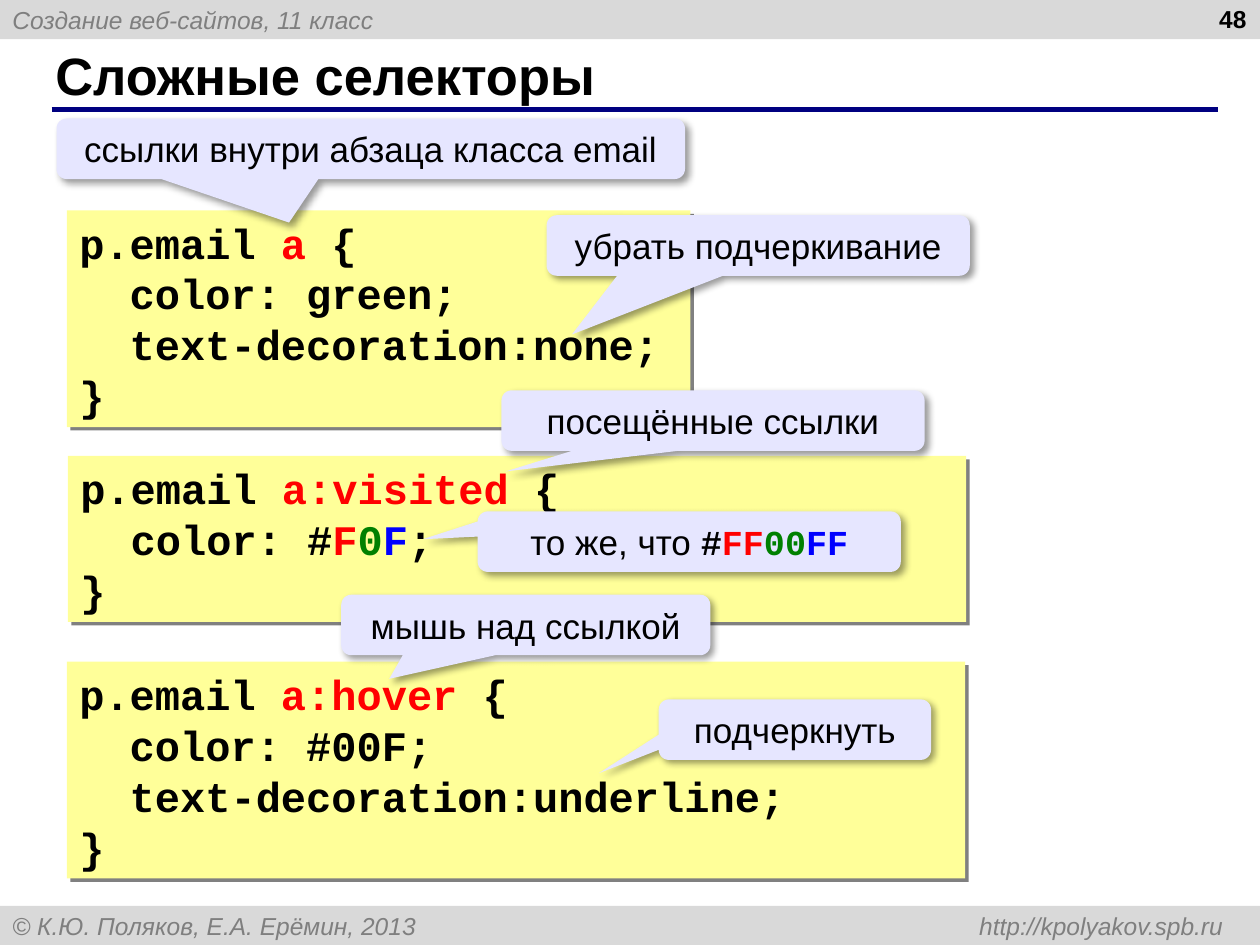
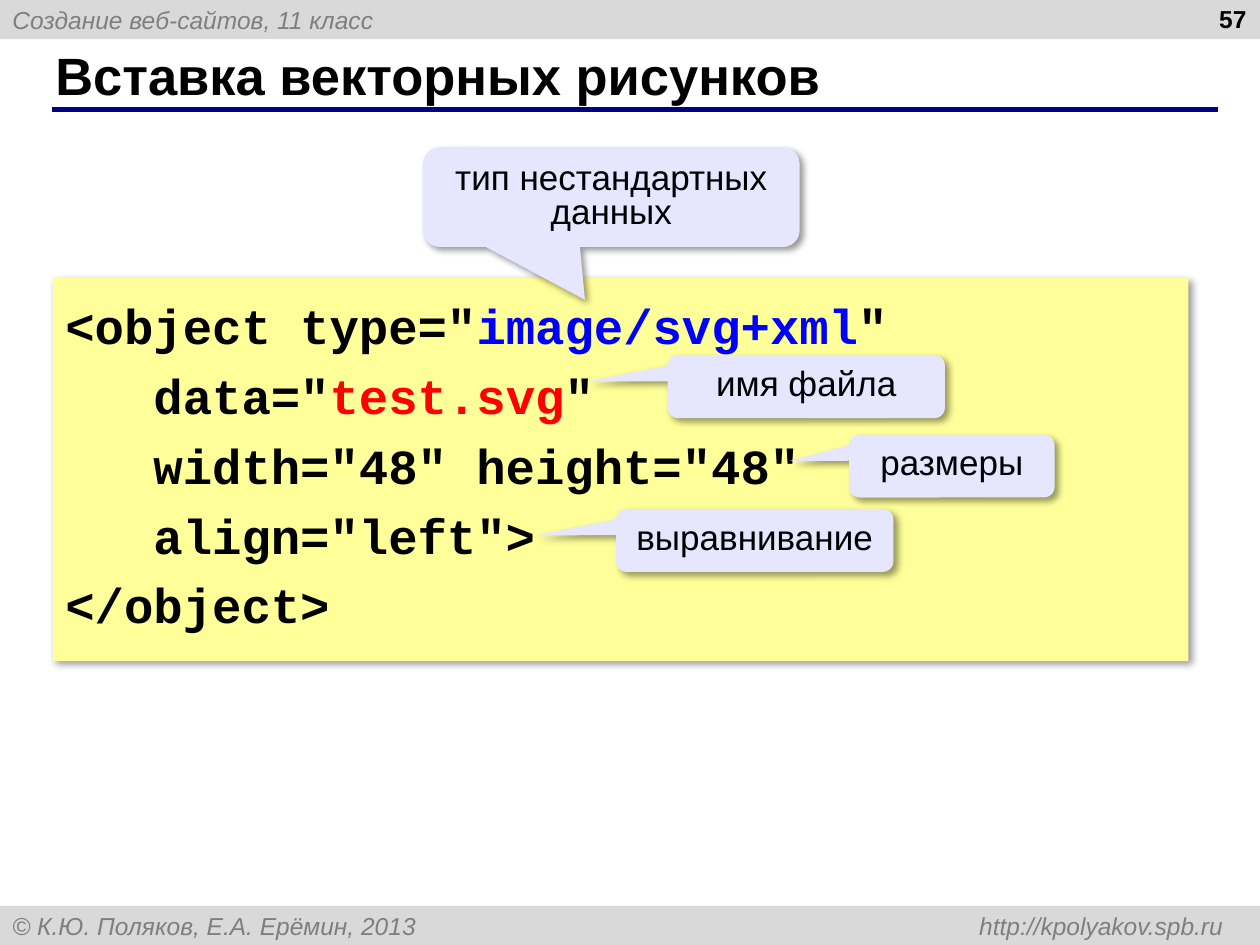
from dataclasses import dataclass
from typing import NamedTuple

from lxml.etree import SubElement
from pptx import Presentation
from pptx.dml.color import RGBColor
from pptx.enum.shapes import MSO_CONNECTOR, MSO_SHAPE
from pptx.enum.text import MSO_ANCHOR, MSO_AUTO_SIZE, PP_ALIGN
from pptx.oxml.ns import qn
from pptx.util import Cm, Pt

WIDTH, HEIGHT, BAND = 25.4, 19.05, 0.79
BLACK, RED, GREEN, BLUE = "000000", "FF0000", "008000", "0000FF"
GREY, BAND_FILL, NAVY = "7F7F7F", "D9D9D9", "000080"
CODE_FILL, CALLOUT_FILL = "FFFF99", "E6E6FF"
SANS, MONO = "Arial", "Courier New"


class Run(NamedTuple):
    text: str
    color: str = BLACK
    font: dict = {}


class Shadow(NamedTuple):
    color: str
    alpha: int
    blur: float
    dist: float


HARD = Shadow("808080", 100, 0, 2.8)
SOFT = Shadow("000000", 40, 4, 3)


@dataclass
class Code:
    box: tuple
    lines: list
    size: int = 24
    pitch: float = 29.1
    right: float = 0
    shadow: Shadow = HARD


@dataclass
class Callout:
    box: tuple
    tip: tuple
    runs: list
    top: float = 0.13
    spacing: float = 1.0


@dataclass
class Page:
    title: str
    number: int
    codes: list
    callouts: list


def rgb(color):
    return RGBColor.from_string(color)


def format_font(font, color=BLACK, **values):
    for name, value in values.items():
        setattr(font, name, value)
    font.color.rgb = rgb(color)


def add_runs(p, runs, **values):
    for run in runs:
        r = p.add_run()
        r.text = run.text
        format_font(r.font, run.color, **{**values, **run.font})


def format_frame(tf, **values):
    base = {"word_wrap": True, "auto_size": MSO_AUTO_SIZE.NONE, "vertical_anchor": MSO_ANCHOR.TOP}
    for name, value in {**base, **values}.items():
        setattr(tf, name, value)


def add_shadow(sp, shadow: Shadow):
    effects = sp._element.spPr.find(qn("a:effectLst"))
    outer = SubElement(effects, qn("a:outerShdw"), blurRad=str(Pt(shadow.blur)),
                       dist=str(Pt(shadow.dist)), dir=str(45 * 60000), algn="tl", rotWithShape="0")
    color = SubElement(outer, qn("a:srgbClr"), val=shadow.color)
    SubElement(color, qn("a:alpha"), val=str(shadow.alpha * 1000))


def add_block(s, kind, box, fill, shadow=None):
    sp = s.shapes.add_shape(kind, *map(Cm, box))
    sp.fill.solid()
    sp.fill.fore_color.rgb = rgb(fill)
    sp.line.fill.background()
    sp.shadow.inherit = False
    if shadow:
        add_shadow(sp, shadow)
    return sp


def add_band(s, top, text):
    sp = add_block(s, MSO_SHAPE.RECTANGLE, (0, top, WIDTH, BAND), BAND_FILL)
    format_frame(sp.text_frame, vertical_anchor=MSO_ANCHOR.MIDDLE)
    p = sp.text_frame.paragraphs[0]
    p.alignment = PP_ALIGN.LEFT
    tabs = SubElement(p._p.get_or_add_pPr(), qn("a:tabLst"))
    SubElement(tabs, qn("a:tab"), pos=str(Cm(24.41)), algn="r")
    add_runs(p, [Run(text, GREY)], name=SANS, size=Pt(14), italic=True)


def add_frame(s, page: Page):
    add_band(s, 0, "Создание веб-сайтов, 11 класс")
    add_band(s, HEIGHT - BAND, "© К.Ю. Поляков, Е.А. Ерёмин, 2013\thttp://kpolyakov.spb.ru")

    rule = s.shapes.add_connector(MSO_CONNECTOR.STRAIGHT, *map(Cm, (1.04, 2.21, 24.56, 2.21)))
    rule.line.color.rgb = rgb(NAVY)
    rule.line.width = Pt(3)
    SubElement(rule._element.spPr, qn("a:effectLst"))

    title = s.shapes.title
    title.left, title.top, title.width, title.height = map(Cm, (0.86, 0.84, 23.27, 1.32))
    number = s.shapes.add_textbox(*map(Cm, (19.46, -0.05, 5.92, 1.32)))
    for sp, text, size, align, anchor in (
        (title, page.title, 30, PP_ALIGN.LEFT, MSO_ANCHOR.MIDDLE),
        (number, str(page.number), 14, PP_ALIGN.RIGHT, MSO_ANCHOR.TOP),
    ):
        format_frame(sp.text_frame, vertical_anchor=anchor)
        p = sp.text_frame.paragraphs[0]
        p.alignment = align
        add_runs(p, [Run(text)], name=SANS, size=Pt(size), bold=True)


def add_code(s, code: Code):
    sp = add_block(s, MSO_SHAPE.RECTANGLE, code.box, CODE_FILL, code.shadow)
    tf = sp.text_frame
    format_frame(tf, margin_right=Cm(code.right))
    for i, runs in enumerate(code.lines):
        p = tf.add_paragraph() if i else tf.paragraphs[0]
        p.alignment = PP_ALIGN.LEFT
        p.line_spacing = Pt(code.pitch)
        add_runs(p, runs, name=MONO, size=Pt(code.size), bold=True)


def add_callout(s, callout: Callout):
    sp = add_block(s, MSO_SHAPE.ROUNDED_RECTANGULAR_CALLOUT, callout.box, CALLOUT_FILL, SOFT)
    for i, value in enumerate((*callout.tip, 0.167)):
        sp.adjustments[i] = value
    format_frame(sp.text_frame, margin_top=Cm(callout.top))
    p = sp.text_frame.paragraphs[0]
    p.alignment = PP_ALIGN.CENTER
    p.line_spacing = callout.spacing
    add_runs(p, callout.runs, name=SANS, size=Pt(20))


def note(left, top, width, tip, *runs):
    return Callout((left, top, width, 1.22), tip, list(runs))


def tight_note(left, top, width, text, height=1.27, tip=(-0.79, -0.08)):
    return Callout((left, top, width, height), tip, [Run(text)], 0.23, 0.8)


def selector(name):
    return [Run("p.email "), Run(name, RED), Run(" {")]


END = [Run("}")]
MONO_BOLD = {"name": MONO, "bold": True}

PAGES = [
    Page(
        "Сложные селекторы", 48,
        [
            Code((1.35, 4.24, 12.57, 4.37), [
                selector("a"), [Run("  color: green;")], [Run("  text-decoration:none;")], END]),
            Code((1.35, 13.34, 18.11, 4.37), [
                selector("a:hover"), [Run("  color: #00F;")],
                [Run("  text-decoration:underline;")], END]),
            Code((1.37, 9.19, 18.11, 3.35), [
                selector("a:visited"),
                [Run("  color: #"), Run("F", RED), Run("0", GREEN), Run("F", BLUE), Run(";")], END]),
        ],
        [
            note(1.14, 2.39, 12.67, (-0.13, 1.22), Run("ссылки внутри абзаца класса email")),
            note(11.02, 4.34, 8.53, (-0.44, 1.47), Run("убрать подчеркивание")),
            note(10.11, 7.87, 8.53, (-0.49, 0.84), Run("посещённые ссылки")),
            note(13.28, 14.1, 5.49, (-0.72, 0.72), Run("подчеркнуть")),
            note(6.88, 11.99, 7.44, (-0.37, 0.89), Run("мышь над ссылкой")),
            note(9.63, 10.31, 8.53, (-0.63, -0.04), Run("то же, что "),
                 Run("#", font=MONO_BOLD), Run("FF", RED, MONO_BOLD),
                 Run("00", GREEN, MONO_BOLD), Run("FF", BLUE, MONO_BOLD)),
        ],
    ),
    Page(
        "Вставка векторных рисунков", 57,
        [
            Code((1.07, 5.61, 22.89, 7.72), [
                [Run('<object type="'), Run("image/svg+xml", BLUE), Run('"')],
                [Run('   data="'), Run("test.svg", RED), Run('"')],
                [Run('   width="48" height="48"')],
                [Run('   align="left">')],
                [Run("</object>")],
            ], 28, 39.9, 0.25, SOFT),
        ],
        [
            tight_note(8.53, 2.97, 7.59, "тип нестандартных данных", 2.01, (-0.07, 1.03)),
            tight_note(13.46, 7.16, 5.59, "имя файла"),
            tight_note(17.12, 8.76, 4.14, "размеры"),
            tight_note(12.42, 10.26, 5.59, "выравнивание"),
        ],
    ),
]


def main():
    """Build the lesson slides on selectors and vector drawings."""
    prs = Presentation()
    prs.slide_width, prs.slide_height = Cm(WIDTH), Cm(HEIGHT)
    for page in PAGES:
        s = prs.slides.add_slide(prs.slide_layouts[5])
        add_frame(s, page)
        for code in page.codes:
            add_code(s, code)
        for callout in page.callouts:
            add_callout(s, callout)
    prs.save("out.pptx")


if __name__ == "__main__":
    main()
